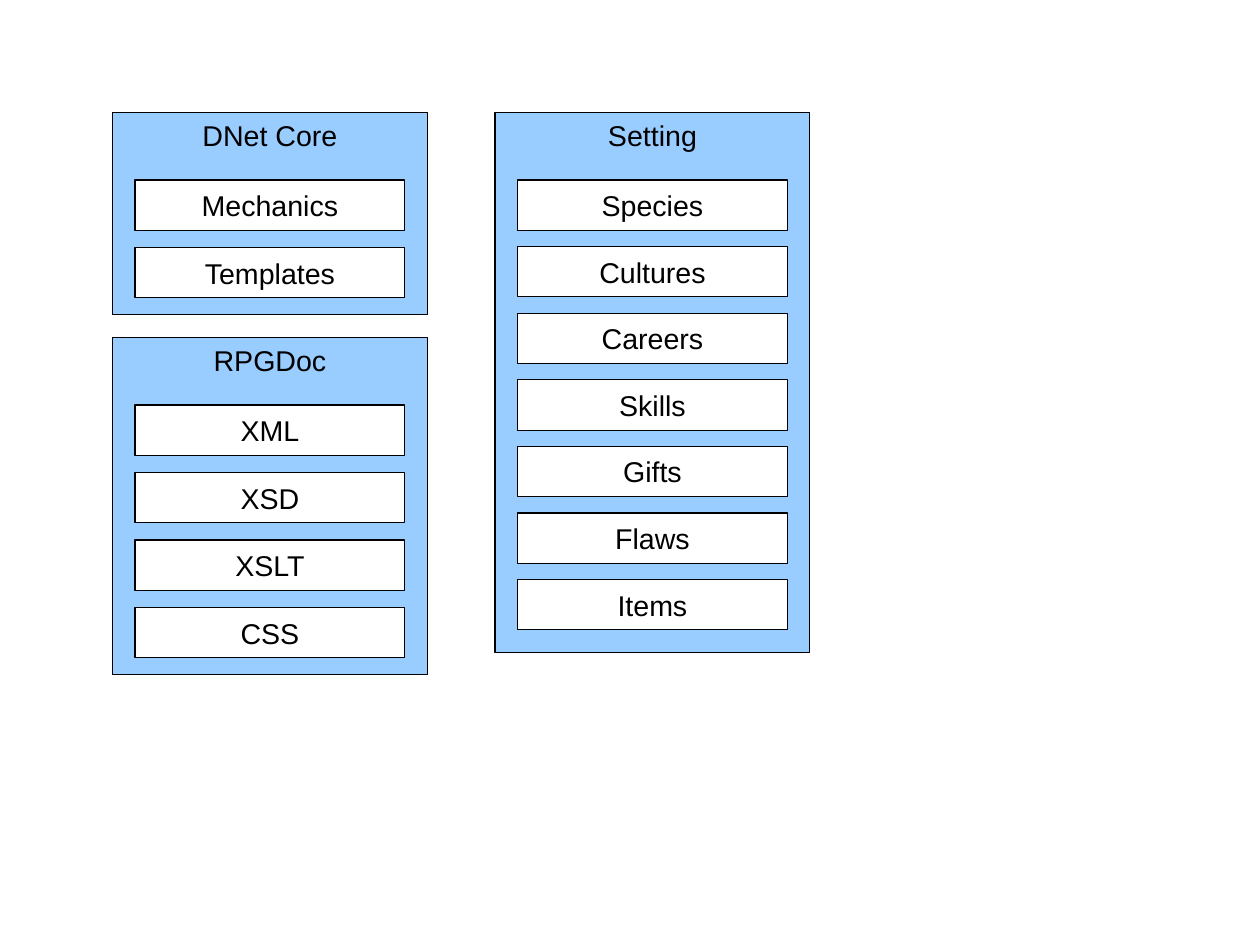
from pptx import Presentation
from pptx.dml.color import RGBColor
from pptx.enum.shapes import MSO_SHAPE
from pptx.enum.text import MSO_ANCHOR, PP_ALIGN
from pptx.util import Cm, Pt

MODULES = [
    {"title": "Setting", "left": 11, "top": 2.5, "height": 12, "pitch": 1.48,
     "parts": ["Species", "Cultures", "Careers", "Skills", "Gifts", "Flaws", "Items"]},
    {"title": "DNet Core", "left": 2.5, "top": 2.5, "height": 4.5, "pitch": 1.5,
     "parts": ["Mechanics", "Templates"]},
    {"title": "RPGDoc", "left": 2.5, "top": 7.5, "height": 7.5, "pitch": 1.5,
     "parts": ["XML", "XSD", "XSLT", "CSS"]},
]

BLACK = RGBColor(0x00, 0x00, 0x00)
WHITE = RGBColor(0xFF, 0xFF, 0xFF)
SKY_BLUE = RGBColor(0x99, 0xCC, 0xFF)
RECTANGLE = MSO_SHAPE.RECTANGLE
CENTER = PP_ALIGN.CENTER
TOP = MSO_ANCHOR.TOP
MIDDLE = MSO_ANCHOR.MIDDLE

MODULE_WIDTH = 7
PART_WIDTH, PART_HEIGHT = 6, 1.12
PART_INDENT = (MODULE_WIDTH - PART_WIDTH) / 2
FIRST_PART_DROP = 1.5


def add_box(shapes, label, left, top, width, height, fill, anchor):
    box = shapes.add_shape(RECTANGLE, Cm(left), Cm(top), Cm(width), Cm(height))
    box.shadow.inherit = False
    box.fill.solid()
    box.fill.fore_color.rgb = fill
    box.line.color.rgb = BLACK
    box.line.width = Pt(0)
    frame = box.text_frame
    frame.word_wrap = False
    frame.vertical_anchor = anchor
    paragraph = frame.paragraphs[0]
    paragraph.alignment = CENTER
    run = paragraph.add_run()
    run.text = label
    run.font.name = "Arial"
    run.font.size = Pt(18)
    run.font.color.rgb = BLACK


def add_module(slide, module):
    shapes = slide.shapes.add_group_shape().shapes
    left, top = module["left"], module["top"]
    add_box(shapes, module["title"], left, top, MODULE_WIDTH, module["height"],
            SKY_BLUE, TOP)
    for index, part in enumerate(module["parts"]):
        part_top = top + FIRST_PART_DROP + index * module["pitch"]
        add_box(shapes, part, left + PART_INDENT, part_top, PART_WIDTH, PART_HEIGHT,
                WHITE, MIDDLE)


def main():
    presentation = Presentation()
    presentation.slide_width = Cm(28)
    presentation.slide_height = Cm(21)
    slide = presentation.slides.add_slide(presentation.slide_layouts.get_by_name("Blank"))
    for module in MODULES:
        add_module(slide, module)
    presentation.save("out.pptx")


if __name__ == "__main__":
    main()
